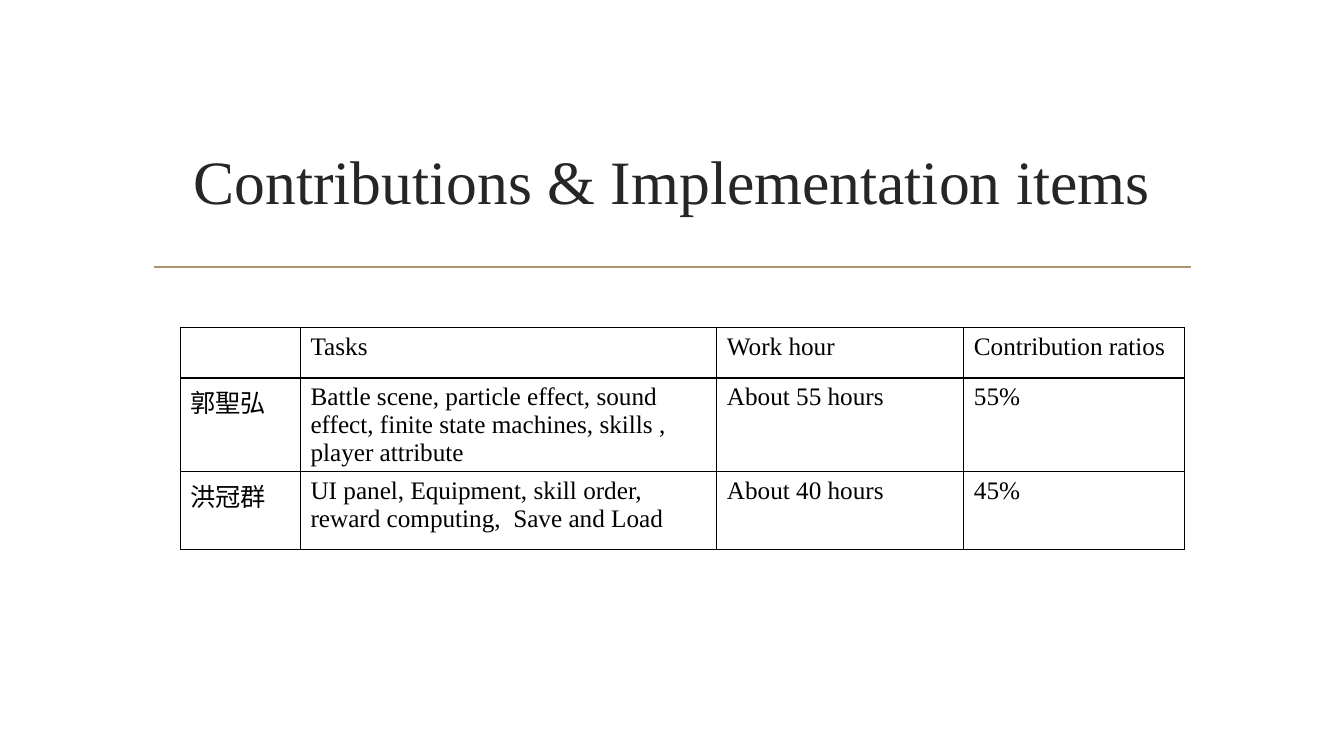
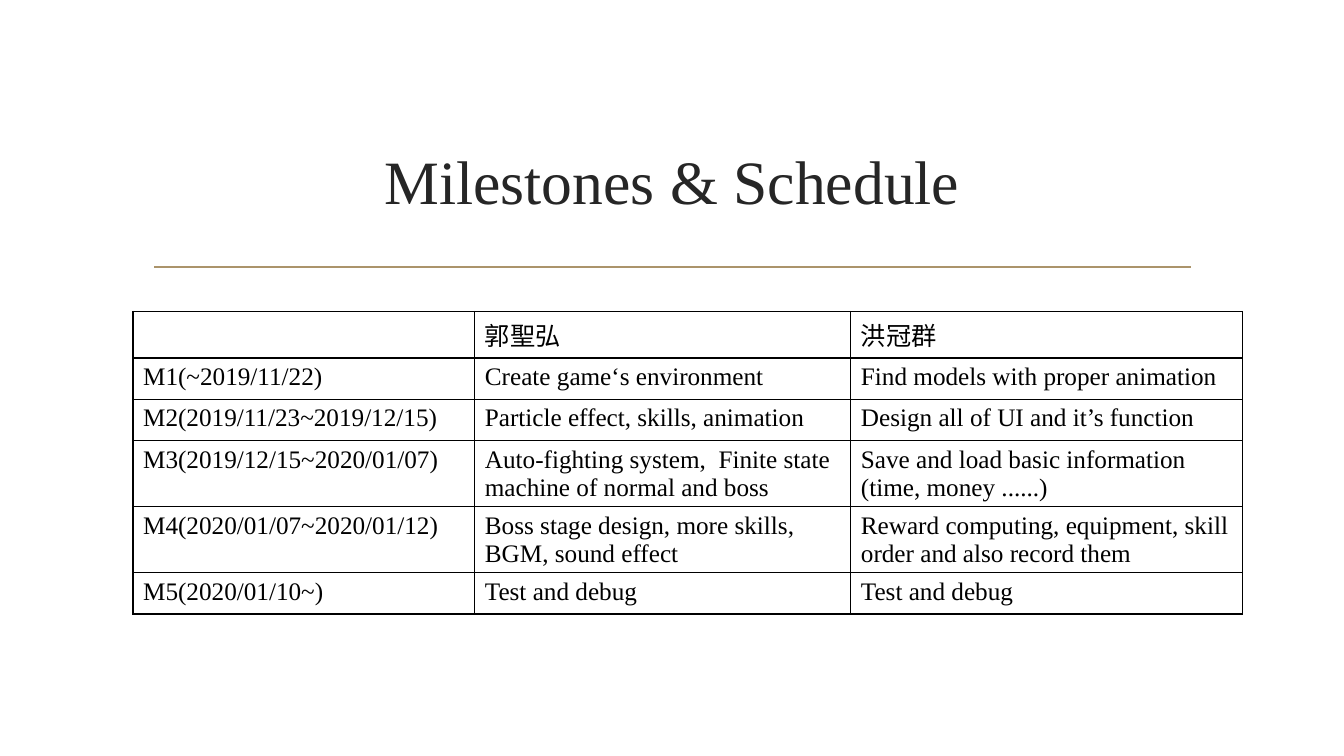
from dataclasses import dataclass

from lxml.etree import SubElement
from pptx import Presentation
from pptx.dml.color import RGBColor
from pptx.enum.shapes import MSO_CONNECTOR
from pptx.enum.text import MSO_ANCHOR, MSO_AUTO_SIZE, PP_ALIGN
from pptx.oxml.ns import qn
from pptx.util import Inches, Pt

COLORS = {"title": "262626", "rule": "AB946B", "text": "000000", "border": "000000"}
FONT = "Times New Roman"
TITLE_ONLY = 5

prs = Presentation()
prs.slide_width, prs.slide_height = Inches(13.33), Inches(7.5)


@dataclass(frozen=True)
class TableSlide:
    """A titled table; lengths are percentages of the slide's size."""
    title: str
    left: float
    top: float
    cols: tuple[float, ...]
    row_heights: tuple[float, ...]
    rows: tuple[tuple[str, ...], ...]


SLIDES = (
    TableSlide(
        "Contributions & Implementation items", 13.43, 43.33,
        (8.93, 30.98, 18.38, 16.43), (6.67, 10.27, 10.27),
        (
            ("", "Tasks", "Work hour", "Contribution ratios"),
            ("郭聖弘",
             "Battle scene, particle effect, sound effect, finite state machines, "
             "skills , player attribute",
             "About 55 hours", "55%"),
            ("洪冠群",
             "UI panel, Equipment, skill order, reward computing,  Save and Load",
             "About 40 hours", "45%"),
        ),
    ),
    TableSlide(
        "Milestones & Schedule", 9.9, 41.2,
        (25.43, 27.98, 29.11), (5.47,) * 6,
        (
            ("", "郭聖弘", "洪冠群"),
            ("M1(~2019/11/22)", "Create game‘s environment",
             "Find models with proper animation"),
            ("M2(2019/11/23~2019/12/15)", "Particle effect, skills, animation",
             "Design all of UI and it’s function"),
            ("M3(2019/12/15~2020/01/07)",
             "Auto-fighting system,  Finite state machine of normal and boss",
             "Save and load basic information (time, money ......)"),
            ("M4(2020/01/07~2020/01/12)",
             "Boss stage design, more skills, BGM, sound effect",
             "Reward computing, equipment, skill order and also record them"),
            ("M5(2020/01/10~)", "Test and debug", "Test and debug"),
        ),
    ),
)


def across(percent: float) -> int:
    return round(prs.slide_width * percent / 100)


def down(percent: float) -> int:
    return round(prs.slide_height * percent / 100)


def style_runs(tf, size: int, color: str) -> None:
    for p in tf.paragraphs:
        for r in p.runs:
            r.font.name, r.font.size = FONT, Pt(size)
            r.font.color.rgb = RGBColor.from_string(COLORS[color])


def add_rule(s) -> None:
    """Draw the line below the title."""
    y = down(35.33)
    line = s.shapes.add_connector(MSO_CONNECTOR.STRAIGHT, across(11.48), y, across(88.6), y)
    line.line.color.rgb = RGBColor.from_string(COLORS["rule"])
    line.line.width = Pt(1.25)
    SubElement(line._element.spPr, qn("a:effectLst"))


def set_title(s, text: str) -> None:
    sp = s.shapes.title
    sp.left, sp.top = across(10.65), down(14.27)
    sp.width, sp.height = across(78.77), down(19.07)
    tf = sp.text_frame
    tf.text = text
    tf.word_wrap = True
    tf.auto_size = MSO_AUTO_SIZE.NONE
    tf.vertical_anchor = MSO_ANCHOR.MIDDLE
    tf.paragraphs[0].alignment = PP_ALIGN.CENTER
    style_runs(tf, 44, "title")


def add_borders(cell) -> None:
    tc_pr = cell._tc.get_or_add_tcPr()
    for side in ("lnL", "lnR", "lnT", "lnB"):
        ln = SubElement(tc_pr, qn(f"a:{side}"), w=str(Pt(1)))
        fill = SubElement(ln, qn("a:solidFill"))
        SubElement(fill, qn("a:srgbClr"), val=COLORS["border"])


def add_table(s, data: TableSlide) -> None:
    table = s.shapes.add_table(
        len(data.rows), len(data.cols), across(data.left), down(data.top),
        across(sum(data.cols)), down(sum(data.row_heights))).table
    table.first_row = table.horz_banding = False
    for column, width in zip(table.columns, data.cols):
        column.width = across(width)
    for row, height, texts in zip(table.rows, data.row_heights, data.rows):
        row.height = down(height)
        for cell, text in zip(row.cells, texts):
            cell.text_frame.text = text
            style_runs(cell.text_frame, 18, "text")
            add_borders(cell)
            cell.fill.background()


def main() -> None:
    for data in SLIDES:
        s = prs.slides.add_slide(prs.slide_layouts[TITLE_ONLY])
        add_rule(s)
        set_title(s, data.title)
        add_table(s, data)
    prs.save("out.pptx")


if __name__ == "__main__":
    main()
